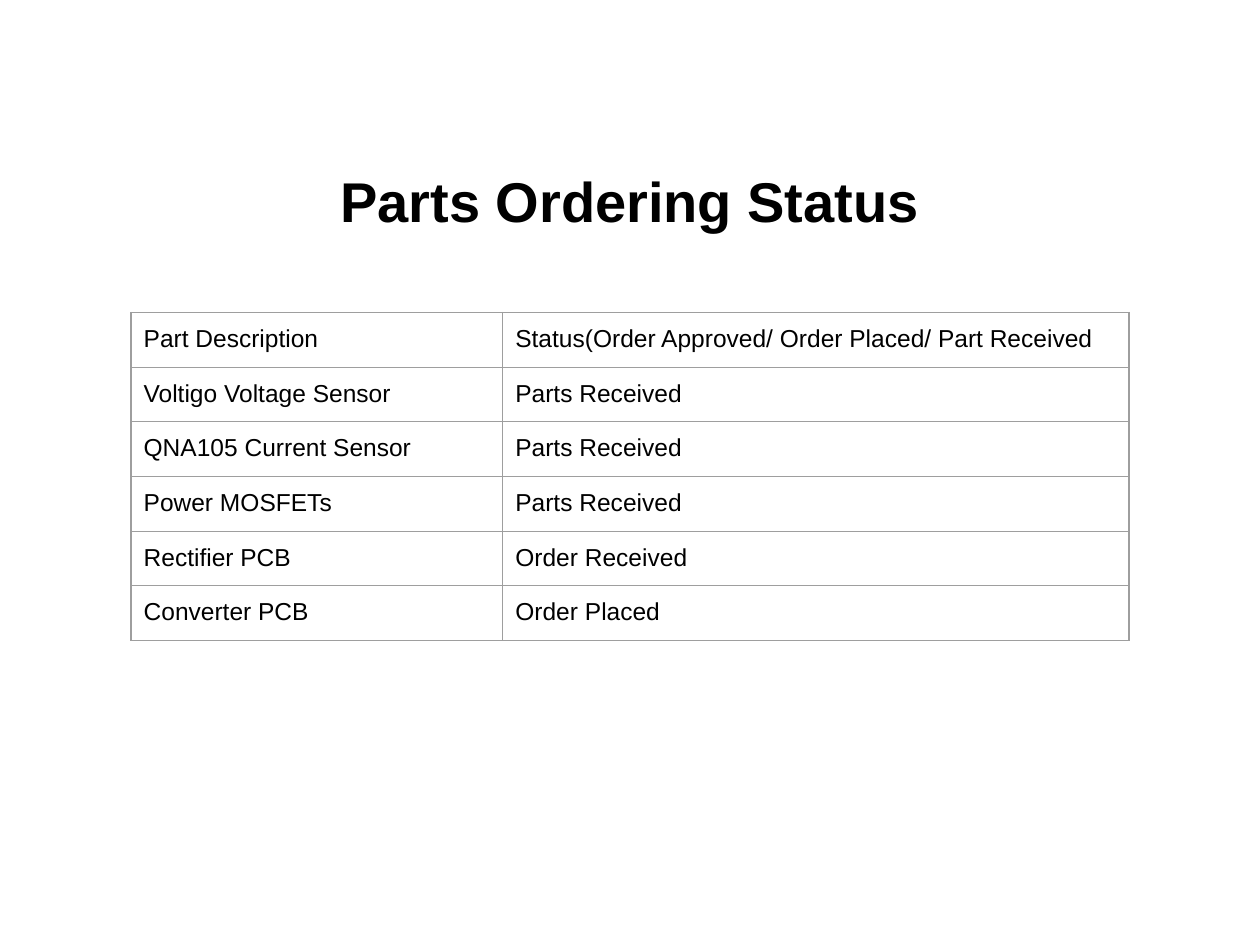
from lxml import etree
from pptx import Presentation
from pptx.dml.color import RGBColor
from pptx.enum.text import MSO_ANCHOR, PP_ALIGN
from pptx.oxml.ns import qn
from pptx.util import Inches, Pt

LEFT, CENTER = PP_ALIGN.LEFT, PP_ALIGN.CENTER
TOP, MIDDLE = MSO_ANCHOR.TOP, MSO_ANCHOR.MIDDLE

BLACK = RGBColor(0x00, 0x00, 0x00)
GREY = RGBColor(0x9E, 0x9E, 0x9E)
FONT = "Arial"

WIDTH, HEIGHT = Inches(10), Inches(7.5)
COLS = [Inches(2.95), Inches(4.97)]
ROW = Inches(0.42)
PAD = Inches(0.1)

PARTS = [
    ("Part Description", "Status(Order Approved/ Order Placed/ Part Received"),
    ("Voltigo Voltage Sensor", "Parts Received"),
    ("QNA105 Current Sensor", "Parts Received"),
    ("Power MOSFETs", "Parts Received"),
    ("Rectifier PCB", "Order Received"),
    ("Converter PCB", "Order Placed"),
]


def write(frame, text, size=14, bold=False, align=LEFT):
    frame.word_wrap = True
    para = frame.paragraphs[0]
    para.alignment = align
    run = para.add_run()
    run.text = text
    font = run.font
    font.name, font.size, font.bold = FONT, Pt(size), bold
    font.color.rgb = BLACK


def add_title(slide, text):
    left = round(WIDTH * 0.05)
    box = slide.shapes.add_textbox(left, Inches(1.15), WIDTH - 2 * left, Inches(0.88))
    box.text_frame.vertical_anchor = MIDDLE
    write(box.text_frame, text, size=32, bold=True, align=CENTER)


def outline(cell):
    """Draw a thin grey line on all four sides of a cell."""
    props = cell._tc.get_or_add_tcPr()
    for side in ("a:lnL", "a:lnR", "a:lnT", "a:lnB"):
        line = etree.SubElement(props, qn(side), w=str(Pt(0.75)))
        fill = etree.SubElement(line, qn("a:solidFill"))
        etree.SubElement(fill, qn("a:srgbClr"), val=str(GREY))


def fill_cell(cell, text):
    cell.margin_left = cell.margin_right = PAD
    cell.margin_top = cell.margin_bottom = PAD
    cell.vertical_anchor = TOP
    outline(cell)
    cell.fill.background()
    write(cell.text_frame, text)


def add_grid(slide, rows):
    wide = sum(COLS)
    left = (WIDTH - wide) // 2
    table = slide.shapes.add_table(
        len(rows), len(COLS), left, Inches(2.48), wide, ROW * len(rows)
    ).table
    table.first_row = table.horz_banding = False
    for col, size in zip(table.columns, COLS):
        col.width = size
    for row, texts in zip(table.rows, rows):
        row.height = ROW
        for cell, text in zip(row.cells, texts):
            fill_cell(cell, text)


def main():
    deck = Presentation()
    deck.slide_width, deck.slide_height = WIDTH, HEIGHT
    slide = deck.slides.add_slide(deck.slide_layouts[6])
    add_title(slide, "Parts Ordering Status")
    add_grid(slide, PARTS)
    deck.save("out.pptx")


if __name__ == "__main__":
    main()
